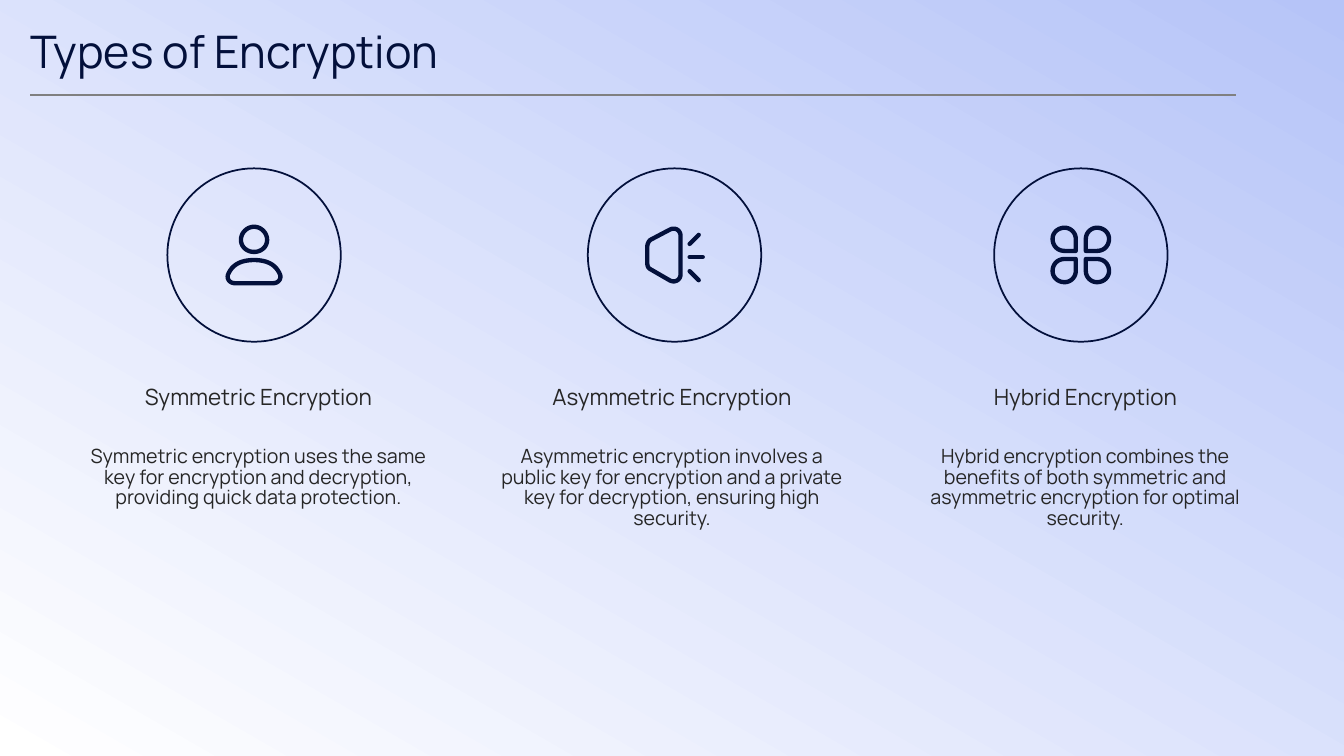
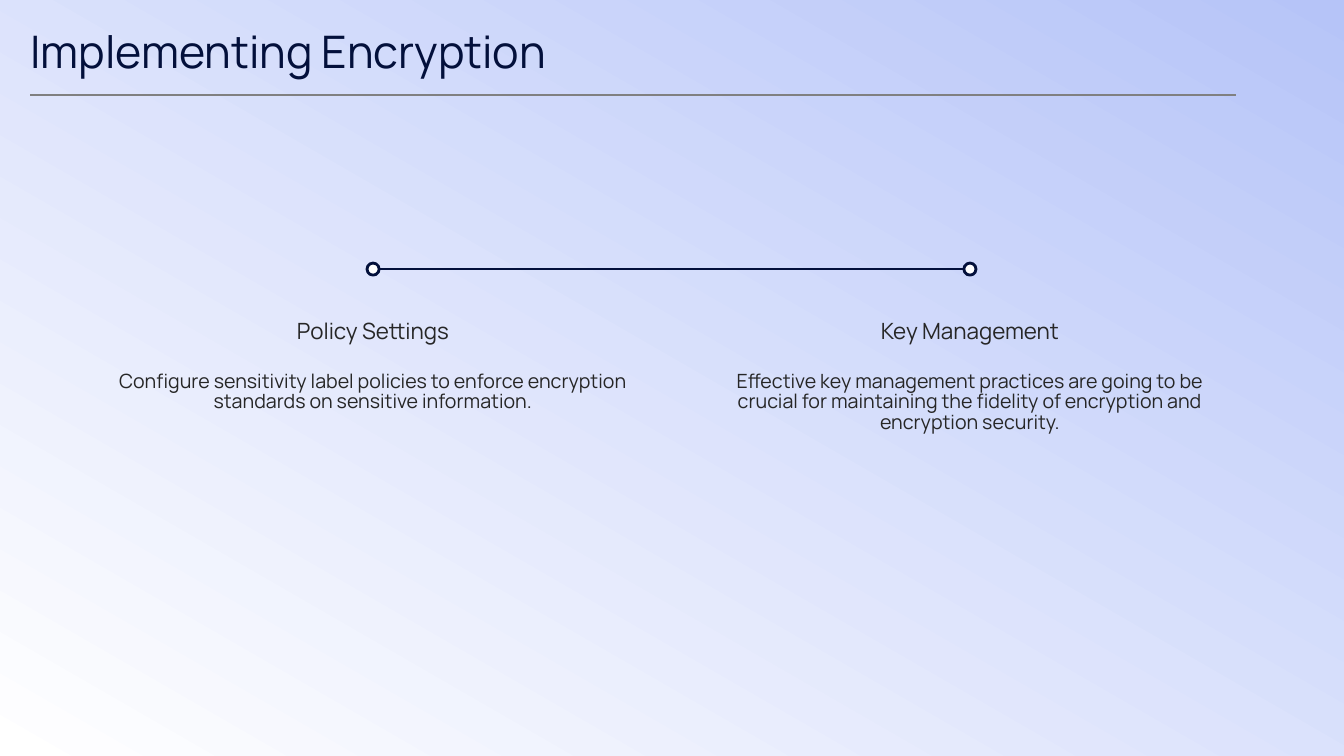
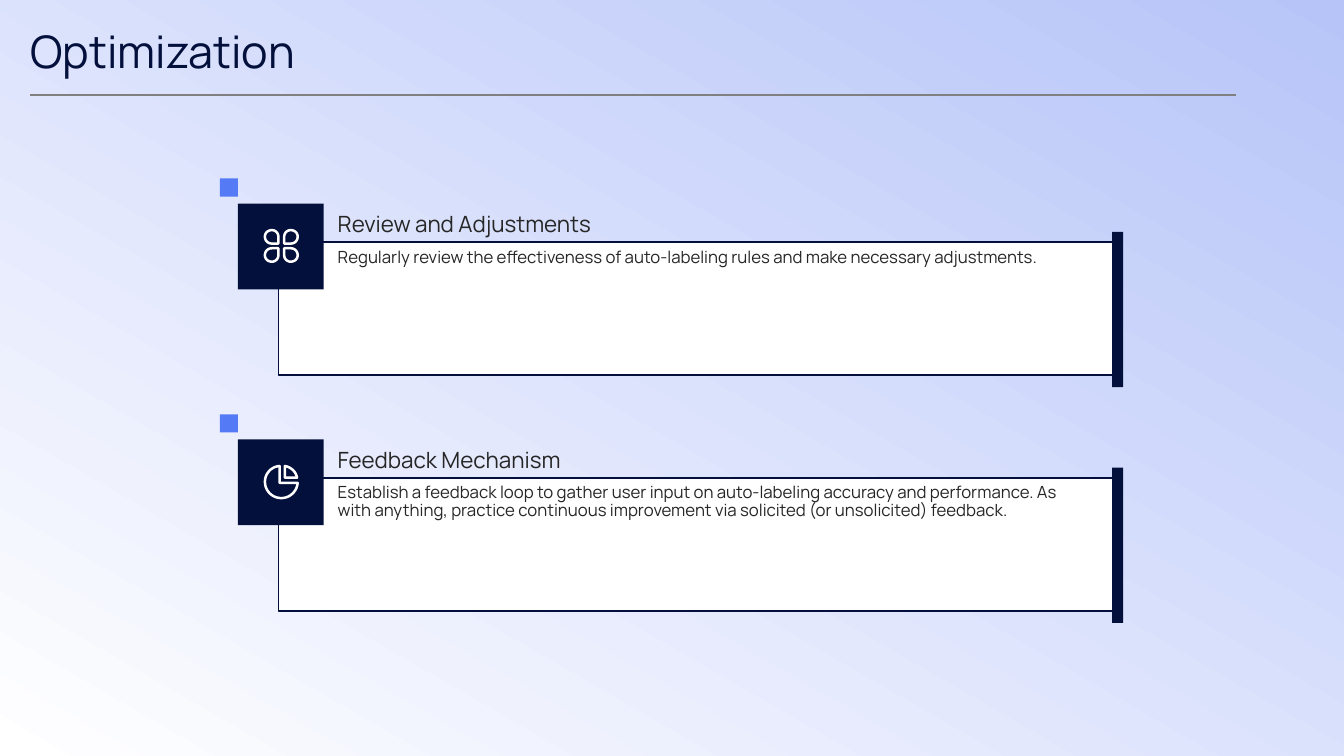
from dataclasses import dataclass

from lxml import etree
from pptx import Presentation
from pptx.dml.color import RGBColor
from pptx.enum.shapes import MSO_CONNECTOR, MSO_SHAPE
from pptx.enum.text import MSO_ANCHOR, PP_ALIGN
from pptx.oxml.ns import qn
from pptx.util import Inches, Pt


@dataclass(frozen=True)
class Theme:
    font: str = "Manrope"
    navy: str = "03103B"
    text: str = "262626"
    rule: str = "808080"
    accent: str = "547AF6"
    white: str = "FFFFFF"
    backdrop: str = "AABDFB"
    panel: str = "B6C4F8"
    title_size: int = 32
    heading_size: int = 16
    body_size: int = 14
    card_size: int = 12
    line_spacing: float = 0.87


THEME = Theme()
WIDTH, HEIGHT = 13.33, 7.5

# Heading, body, icon, centre of the icon
ENCRYPTION_TYPES = [
    ("Symmetric Encryption",
     "Symmetric encryption uses the same key for encryption and decryption, "
     "providing quick data protection.", "person", 2.52),
    ("Asymmetric Encryption",
     "Asymmetric encryption involves a public key for encryption and a private key "
     "for decryption, ensuring high security.", "megaphone", 6.69),
    ("Hybrid Encryption",
     "Hybrid encryption combines the benefits of both symmetric and asymmetric "
     "encryption for optimal security.", "clover", 10.72),
]
STEPS = [
    ("Policy Settings",
     "Configure sensitivity label policies to enforce encryption standards on "
     "sensitive information."),
    ("Key Management",
     "Effective key management practices are going to be crucial for maintaining the "
     "fidelity of encryption and encryption security."),
]
CARDS = [
    ("Review and Adjustments",
     "Regularly review the effectiveness of auto-labeling rules and make necessary "
     "adjustments.", "clover"),
    ("Feedback Mechanism",
     "Establish a feedback loop to gather user input on auto-labeling accuracy and "
     "performance. As with anything, practice continuous improvement via solicited "
     "(or unsolicited) feedback.", "pie"),
]

# Icon contours in inches around the icon centre: a pair is a corner, six numbers a curve
PETAL = [(.05, -.04), (.16, -.04), (.23, -.04, .28, -.09, .28, -.16),
         (.28, -.22, .23, -.27, .16, -.27), (.1, -.27, .05, -.22, .05, -.16), (.05, -.04)]
ICONS = {
    "person": [
        [(0, -.28), (.07, -.28, .13, -.22, .13, -.15), (.13, -.08, .07, -.03, 0, -.03),
         (-.07, -.03, -.13, -.08, -.13, -.15), (-.13, -.22, -.07, -.28, 0, -.28)],
        [(-.19, .28), (.19, .28), (.24, .28, .27, .24, .26, .2),
         (.23, .12, .16, .05, 0, .05), (-.16, .05, -.23, .12, -.26, .2),
         (-.27, .24, -.24, .28, -.19, .28)],
    ],
    "megaphone": [
        [(-.27, .08), (-.27, -.08), (-.27, -.11, -.26, -.13, -.24, -.15), (-.05, -.25),
         (0, -.28, .06, -.25, .06, -.19), (.06, .19), (.06, .25, 0, .28, -.05, .25),
         (-.24, .14), (-.26, .13, -.27, .11, -.27, .08)],
        [(.15, -.11), (.24, -.2)],
        [(.15, .02), (.28, .02)],
        [(.15, .16), (.24, .25)],
    ],
    "clover": [[tuple(value * (side if index % 2 == 0 else -half)
                      for index, value in enumerate((x if y is None else y)))
                for x, y in ((segment, None) for segment in PETAL)]
               for side in (-1, 1) for half in (-1, 1)],
    "pie": [
        [(-.03, -.27), (-.03, .02), (.28, .02), (.27, .16, .15, .28, 0, .28),
         (-.15, .28, -.28, .16, -.28, 0), (-.28, -.14, -.17, -.26, -.03, -.27)],
        [(.06, -.27), (.06, -.07), (.27, -.07), (.25, -.17, .17, -.25, .06, -.27)],
    ],
}
ICONS["clover"] = [
    [tuple(value * (side, half)[index % 2] for index, value in enumerate(segment))
     for segment in PETAL]
    for side in (-1, 1) for half in (-1, 1)
]


def color(value):
    return RGBColor.from_string(value)


def inches(*values):
    return [Inches(value) for value in values]


def fill_gradient(fill, start):
    """Fade from the start colour to white, 60 degrees clockwise."""
    fill.gradient()
    fill.gradient_angle = 300
    for stop, value in zip(fill.gradient_stops, (start, THEME.white)):
        stop.color.rgb = color(value)


def style(shape, fill=None, line=None, weight=1):
    shape.shadow.inherit = False
    if fill:
        shape.fill.solid()
        shape.fill.fore_color.rgb = color(fill)
    else:
        shape.fill.background()
    if line:
        shape.line.color.rgb = color(line)
        shape.line.width = Pt(weight)
    else:
        shape.line.fill.background()


def add_box(slide, kind, box, **look):
    shape = slide.shapes.add_shape(kind, *inches(*box))
    style(shape, **look)
    return shape


def add_rule(slide, left, right, y, line, weight):
    connector = slide.shapes.add_connector(
        MSO_CONNECTOR.STRAIGHT, *inches(left, y, right, y))
    connector.line.color.rgb = color(line)
    connector.line.width = Pt(weight)
    etree.SubElement(connector._element.spPr, qn("a:effectLst"))


def add_text(slide, text, box, size, ink=THEME.text, align=PP_ALIGN.LEFT,
             anchor=MSO_ANCHOR.TOP):
    frame = slide.shapes.add_textbox(*inches(*box)).text_frame
    frame_format = {"word_wrap": True, "vertical_anchor": anchor, "margin_left": 0,
                    "margin_right": 0, "margin_top": 0, "margin_bottom": 0}
    for name, value in frame_format.items():
        setattr(frame, name, value)
    paragraph = frame.paragraphs[0]
    paragraph.text = text
    paragraph.alignment = align
    paragraph.line_spacing = THEME.line_spacing
    font = paragraph.font
    for name, value in {"name": THEME.font, "size": Pt(size)}.items():
        setattr(font, name, value)
    font.color.rgb = color(ink)


def flatten(contour, steps=10):
    """Turn corners and cubic curves into a list of points."""
    points = []
    for segment in contour:
        if len(segment) == 2:
            points.append(segment)
            continue
        controls = [points[-1], segment[:2], segment[2:4], segment[4:]]
        for step in range(1, steps + 1):
            t = step / steps
            weights = ((1 - t) ** 3, 3 * t * (1 - t) ** 2, 3 * t * t * (1 - t), t ** 3)
            points.append(tuple(sum(weight * control[axis]
                                    for weight, control in zip(weights, controls))
                                for axis in (0, 1)))
    return points


def add_icon(slide, name, center_x, center_y, ink, scale=1.0):
    builder = None
    for contour in ICONS[name]:
        points = [tuple(inches(center_x + x * scale, center_y + y * scale))
                  for x, y in flatten(contour)]
        if builder is None:
            builder = slide.shapes.build_freeform(*points[0])
        else:
            builder.move_to(*points[0])
        builder.add_line_segments(points[1:], close=len(points) > 2)
    shape = builder.convert_to_shape()
    style(shape, line=ink, weight=3.1 * scale)
    shape.line._get_or_add_ln().set("cap", "rnd")


def add_slide(presentation, title):
    slide = presentation.slides.add_slide(presentation.slide_layouts[6])
    panel = add_box(slide, MSO_SHAPE.RECTANGLE, (0, 0, WIDTH, HEIGHT))
    fill_gradient(panel.fill, THEME.panel)
    panel._element.spPr.xfrm.set("flipH", "1")
    add_text(slide, title, (0.3, 0.31, 12.1, 0.47), THEME.title_size, THEME.navy,
             anchor=MSO_ANCHOR.MIDDLE)
    add_rule(slide, 0.3, 12.26, 0.94, THEME.rule, 1.25)
    return slide


def add_column(slide, heading, body, left, width, top, heading_height, body_top):
    """Centred heading with a centred body below it."""
    add_text(slide, heading, (left, top, width, heading_height), THEME.heading_size,
             align=PP_ALIGN.CENTER, anchor=MSO_ANCHOR.MIDDLE)
    add_text(slide, body, (left, body_top, width, 1.64), THEME.body_size,
             align=PP_ALIGN.CENTER)


def add_types_slide(presentation):
    slide = add_slide(presentation, "Types of Encryption")
    diameter, center_y = 1.72, 2.53
    for index, (heading, body, icon, center_x) in enumerate(ENCRYPTION_TYPES):
        add_box(slide, MSO_SHAPE.OVAL,
                (center_x - diameter / 2, center_y - diameter / 2, diameter, diameter),
                line=THEME.navy, weight=1.25)
        add_icon(slide, icon, center_x, center_y, THEME.navy)
        add_column(slide, heading, body, 0.83 + 4.1 * index, 3.47, 3.58, 0.75, 4.44)


def add_steps_slide(presentation):
    slide = add_slide(presentation, "Implementing Encryption")
    first, pitch, width, dot, line_y = 3.7, 5.92, 5.16, 0.12, 2.67
    add_rule(slide, first, first + pitch, line_y, THEME.navy, 1)
    for index, (heading, body) in enumerate(STEPS):
        center = first + pitch * index
        add_box(slide, MSO_SHAPE.OVAL, (center - dot / 2, line_y - dot / 2, dot, dot),
                fill=THEME.white, line=THEME.navy, weight=2)
        add_column(slide, heading, body, center - width / 2, width, 2.9, 0.79, 3.69)


def add_cards_slide(presentation):
    slide = add_slide(presentation, "Optimization")
    for index, (heading, body, icon) in enumerate(CARDS):
        top = 1.77 + 2.34 * index
        add_box(slide, MSO_SHAPE.RECTANGLE, (2.76, top + 0.63, 8.36, 1.32),
                fill=THEME.white, line=THEME.navy)
        for box, fill in (((11.03, top + 0.53, 0.11, 1.54), THEME.navy),
                          ((2.36, top + 0.25, 0.85, 0.85), THEME.navy),
                          ((2.18, top, 0.18, 0.18), THEME.accent)):
            add_box(slide, MSO_SHAPE.RECTANGLE, box, fill=fill)
        add_icon(slide, icon, 2.79, top + 0.67, THEME.white, scale=0.58)
        add_text(slide, heading, (3.35, top + 0.17, 7.5, 0.41), THEME.heading_size,
                 anchor=MSO_ANCHOR.BOTTOM)
        add_text(slide, body, (3.35, top + 0.7, 7.5, 1.18), THEME.card_size)


def main():
    presentation = Presentation()
    presentation.slide_width, presentation.slide_height = inches(WIDTH, HEIGHT)
    fill_gradient(presentation.slide_master.background.fill, THEME.backdrop)
    add_types_slide(presentation)
    add_steps_slide(presentation)
    add_cards_slide(presentation)
    presentation.save("out.pptx")


if __name__ == "__main__":
    main()
